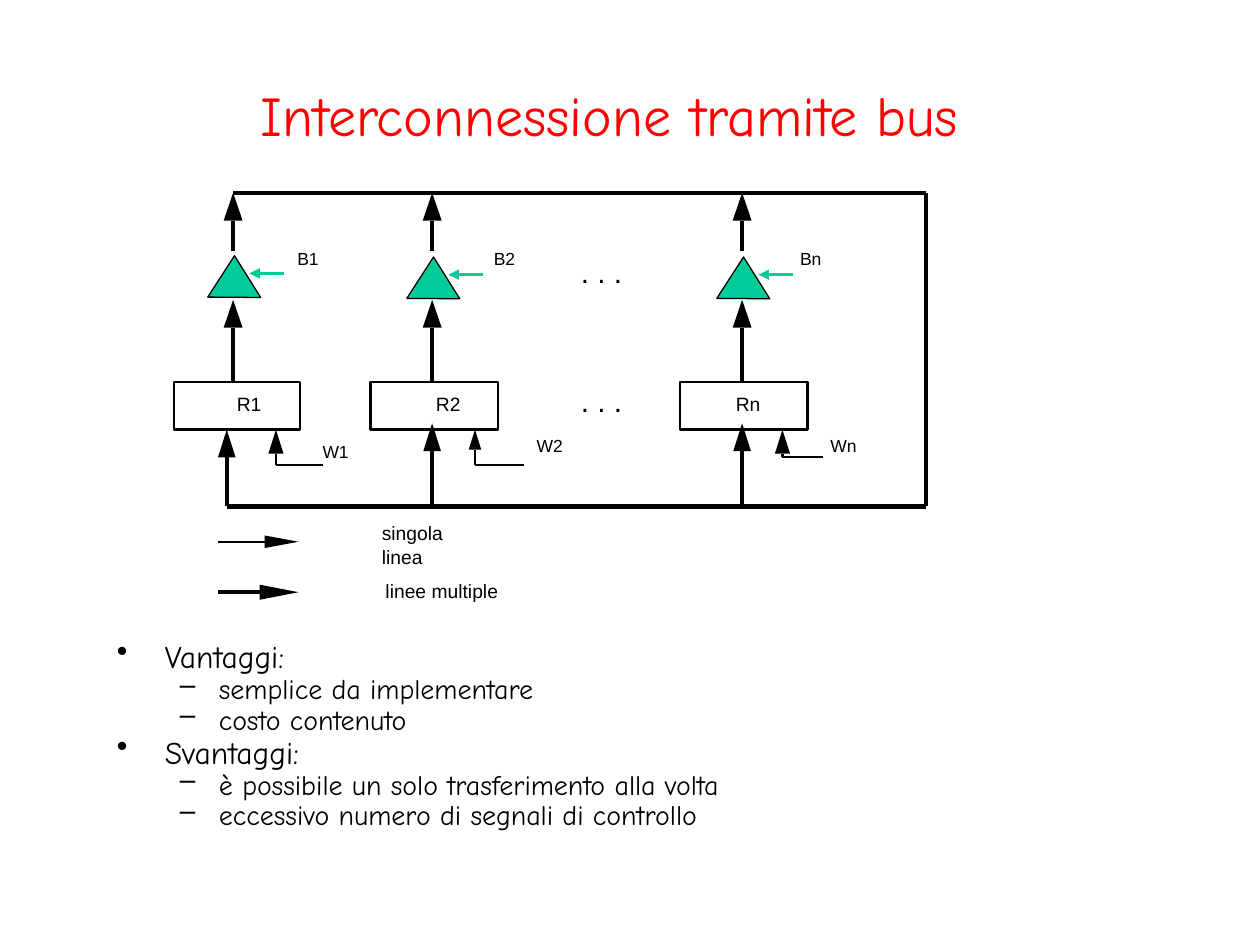
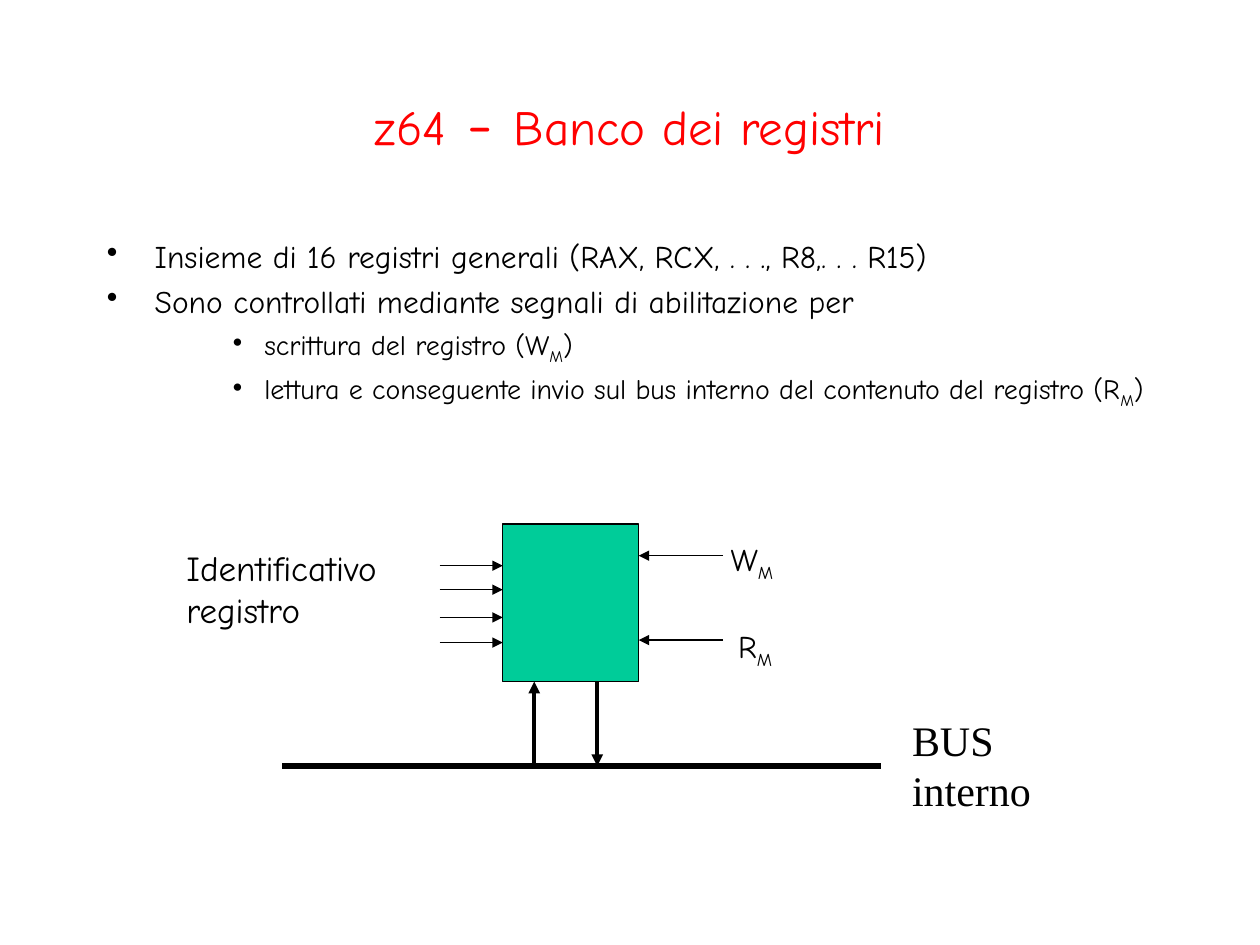
from collections import namedtuple

from lxml import etree
from pptx import Presentation
from pptx.dml.color import RGBColor
from pptx.enum.shapes import MSO_CONNECTOR, MSO_SHAPE as SHAPE
from pptx.enum.text import MSO_ANCHOR as ANCHOR, PP_ALIGN as ALIGN
from pptx.oxml.ns import qn
from pptx.util import Pt

PX = 9144
BLACK = RGBColor(0x00, 0x00, 0x00)
RED = RGBColor(0xFF, 0x00, 0x00)
GREEN = RGBColor(0x00, 0xCC, 0x99)
GREEN_LINE = RGBColor(0x00, 0xCC, 0x98)
COMIC, ARIAL, TIMES = "Comic Neue", "Arial", "Times New Roman"
THIN, SINGLE, CONTROL, ARROW, MULTIPLE, BUS = 0.75, 1.25, 1.5, 2.25, 2.5, 3

Bullet = namedtuple("Bullet", "level char margin hang size")
MAIN = Bullet(0, "•", 38, 38, 18)
DASH = Bullet(1, "–", 81, 31, 16)
DOT = Bullet(2, "•", 125, 25, 16)

Register = namedtuple(
    "Register",
    "index x width core gate_y in_x in_tip write_x head_len head_half "
    "write_y write_end r_x b_x b_y w_x w_y")
REGISTERS = [
    Register("1", 0, 100, 47, 50, 42, 188, 81, 19, 6, 216, 118, 50, 98, 44, 118, 197),
    Register("2", 156, 101, 49, 51, 49, 183, 83, 16, 5, 216, 122, 52, 98, 44, 132, 192),
    Register("n", 402, 101, 49, 51, 49, 183, 81, 19, 6, 210, 113, 44, 95, 44, 119, 192),
]


def px(*values):
    return [round(v * PX) for v in values]


def add_runs(p, runs, size, font, color):
    for run in [runs] if isinstance(runs, str) else runs:
        text, fmt = (run, {}) if isinstance(run, str) else run
        r = p.add_run()
        r.text = text
        values = {"name": font, "size": Pt(fmt.get("size", size))}
        for name, value in values.items():
            setattr(r.font, name, value)
        r.font.color.rgb = color
        if fmt.get("sub"):
            r._r.get_or_add_rPr().set("baseline", "-25000")


def add_frame(s, box, inset=(10, 5), wrap=False, anchor=ANCHOR.TOP):
    tf = s.shapes.add_textbox(*px(*box)).text_frame
    side, end = px(*inset)
    values = {"word_wrap": wrap, "vertical_anchor": anchor,
              "margin_left": side, "margin_right": side,
              "margin_top": end, "margin_bottom": end}
    for name, value in values.items():
        setattr(tf, name, value)
    return tf


def add_lines(tf, lines, size, font, color=BLACK, align=ALIGN.LEFT):
    for i, runs in enumerate(lines):
        p = tf.add_paragraph() if i else tf.paragraphs[0]
        p.alignment = align
        add_runs(p, runs, size, font, color)


def add_title(s, box, runs, size):
    tf = add_frame(s, box, wrap=True, anchor=ANCHOR.MIDDLE)
    add_lines(tf, [runs], size, COMIC, RED, ALIGN.CENTER)


def add_label(s, box, text, size=10):
    add_lines(add_frame(s, box, (0, 0)), [text], size, ARIAL)


def add_bullets(s, box, items, line_spacing=1.0):
    tf = add_frame(s, box, wrap=True)
    for i, (style, before, runs) in enumerate(items):
        p = tf.add_paragraph() if i else tf.paragraphs[0]
        p.level = style.level
        pPr = p._p.get_or_add_pPr()
        margin, hang = px(style.margin, style.hang)
        pPr.set("marL", str(margin))
        pPr.set("indent", str(-hang))
        clr = etree.SubElement(pPr, qn("a:buClr"))
        etree.SubElement(clr, qn("a:srgbClr")).set("val", str(BLACK))
        etree.SubElement(pPr, qn("a:buChar")).set("char", style.char)
        p.line_spacing = line_spacing
        if i:
            p.space_before = Pt(before)
        add_runs(p, runs, style.size, COMIC, BLACK)


def add_line(s, start, end, width, color=BLACK, arrow=False):
    c = s.shapes.add_connector(MSO_CONNECTOR.STRAIGHT, *px(*start, *end))
    c.line.color.rgb = color
    c.line.width = Pt(width)
    if arrow:
        ln = c.line._get_or_add_ln()
        etree.SubElement(ln, qn("a:tailEnd")).set("type", "triangle")
    etree.SubElement(c._element.spPr, qn("a:effectLst"))


def add_shape(s, kind, box, fill=None, width=THIN):
    sp = s.shapes.add_shape(kind, *px(*box))
    sp.shadow.inherit = False
    if fill is None:
        sp.fill.background()
    else:
        sp.fill.solid()
        sp.fill.fore_color.rgb = fill
    sp.line.color.rgb = BLACK
    sp.line.width = Pt(width)
    return sp


def add_block_arrow(s, tail, tip, length, half, width):
    x, y = tip
    if tail[0] == x:
        base = (x, y + length)
        corners = [(x + half, base[1]), (x - half, base[1])]
    else:
        base = (x - length, y)
        corners = [(base[0], y + half), (base[0], y - half)]
    builder = s.shapes.build_freeform(*px(*tip))
    builder.add_line_segments([px(*corner) for corner in corners], close=True)
    head = builder.convert_to_shape()
    head.shadow.inherit = False
    head.fill.solid()
    head.fill.fore_color.rgb = BLACK
    head.line.fill.background()
    add_line(s, tail, base, width)


def draw_register(s, x, y, reg, bottom):
    add_shape(s, SHAPE.RECTANGLE, (x, y + 150, reg.width, 38), width=SINGLE)
    add_label(s, (x + reg.r_x, y + 158, 20, 18), "R" + reg.index, 11)
    add_label(s, (x + reg.b_x, y + reg.b_y, 17, 17), "B" + reg.index)
    add_label(s, (x + reg.w_x, y + reg.w_y, 21, 17), "W" + reg.index)

    core = x + reg.core
    for tail, tip in ((150, 85), (46, 0)):
        add_block_arrow(s, (core, y + tail), (core, y + tip), 22, 7.5, MULTIPLE)
    add_block_arrow(s, (x + reg.in_x, bottom), (x + reg.in_x, y + reg.in_tip),
                    22, 7, MULTIPLE)

    corner = (x + reg.write_x, y + reg.write_y)
    add_block_arrow(s, corner, (corner[0], y + 188),
                    reg.head_len, reg.head_half, SINGLE)
    add_line(s, corner, (x + reg.write_end, corner[1]), SINGLE)

    gate_x, gate_y = core - 20, y + reg.gate_y
    add_shape(s, SHAPE.ISOSCELES_TRIANGLE, (gate_x, gate_y, 42, 33), GREEN).rotation = 0.4
    add_line(s, (gate_x + 60, gate_y + 14), (gate_x + 33, gate_y + 14),
             CONTROL, GREEN_LINE, arrow=True)


def draw_bus(s, box):
    x, y, w, h = box
    right, bottom = x + w, y + h
    corners = [(x + 47, y), (right, y), (right, bottom), (x + 42, bottom)]
    for start, end in zip(corners, corners[1:]):
        add_line(s, start, end, MULTIPLE)
    for reg in REGISTERS:
        draw_register(s, x + reg.x, y, reg, bottom)
    for dots_y in (48, 151):
        add_label(s, (x + 323, y + dots_y, 33, 28), ". . .", 17)


def draw_legend(s, box):
    x, y, w, h = box
    add_block_arrow(s, (x, y + 16), (x + 64, y + 16), 27, 5, SINGLE)
    add_label(s, (x + 130, y, 85, 18), "singola linea", 11)
    add_block_arrow(s, (x, y + 56), (x + 64, y + 56), 31, 6, MULTIPLE)
    add_label(s, (x + 133, y + 46, 90, 18), "linee multiple", 11)


def draw_register_bank(s, box):
    x, y, w, h = box
    right, bottom, bus_y = x + w, y + h, y + 192
    add_shape(s, SHAPE.RECTANGLE, box, GREEN)
    for dy in (33, 52, 74, 94):
        add_line(s, (x - 50, y + dy), (x, y + dy), THIN, arrow=True)
    for dy in (25, 92):
        add_line(s, (right + 67, y + dy), (right, y + dy), THIN, arrow=True)
    add_line(s, (x + 25, bus_y), (x + 25, bottom), ARROW, arrow=True)
    add_line(s, (x + 75, bottom), (x + 75, bus_y), ARROW, arrow=True)
    add_line(s, (x - 175, bus_y), (x + 300, bus_y), BUS)

    labels = [
        ((x - 261, y + 13, 172, 77), ["Identificativo", "registro"], 20, COMIC),
        ((x + 315, y + 146, 187, 50), ["BUS interno"], 24, TIMES),
        ((x + 171, y + 8, 54, 44), [["W", SUB_M]], 18, COMIC),
        ((x + 177, y + 77, 47, 44), [["R", SUB_M]], 18, COMIC),
    ]
    for label_box, lines, size, font in labels:
        add_lines(add_frame(s, label_box), lines, size, font)


SUB_M = ("M", {"sub": True})


def build_bus_slide(s):
    add_title(s, (59, 28, 850, 125), "Interconnessione tramite bus", 32)
    draw_bus(s, (138, 153, 597, 249))
    draw_legend(s, (173, 414, 223, 64))
    add_bullets(s, (83, 509, 843, 171), [
        (MAIN, 4.5, "Vantaggi:"),
        (DASH, 4, "semplice da implementare"),
        (DASH, 4, "costo contenuto"),
        (MAIN, 4.5, "Svantaggi:"),
        (DASH, 4, "è possibile un solo trasferimento alla volta"),
        (DASH, 4, "eccessivo numero di segnali di controllo"),
    ], 0.7)


def build_bank_slide(s):
    add_title(s, (75, 33, 850, 125),
              ["z64", (" - ", {"size": 36}), "Banco dei registri"], 28)
    add_bullets(s, (75, 183, 850, 207), [
        (MAIN, 4.5, "Insieme di 16 registri generali (RAX, RCX, . . ., R8,. . . R15)"),
        (MAIN, 4.5, "Sono controllati mediante segnali di abilitazione per"),
        (DOT, 4, ["scrittura del registro (W", SUB_M, ")"]),
        (DOT, 3.5, ["lettura e conseguente invio sul bus interno del "
                    "contenuto del registro (R", SUB_M, ")"]),
    ])
    draw_register_bank(s, (399, 416, 108, 125))


def main():
    prs = Presentation()
    prs.slide_width, prs.slide_height = px(1000, 750)
    for build in (build_bus_slide, build_bank_slide):
        build(prs.slides.add_slide(prs.slide_layouts[6]))
    prs.save("out.pptx")


if __name__ == "__main__":
    main()
